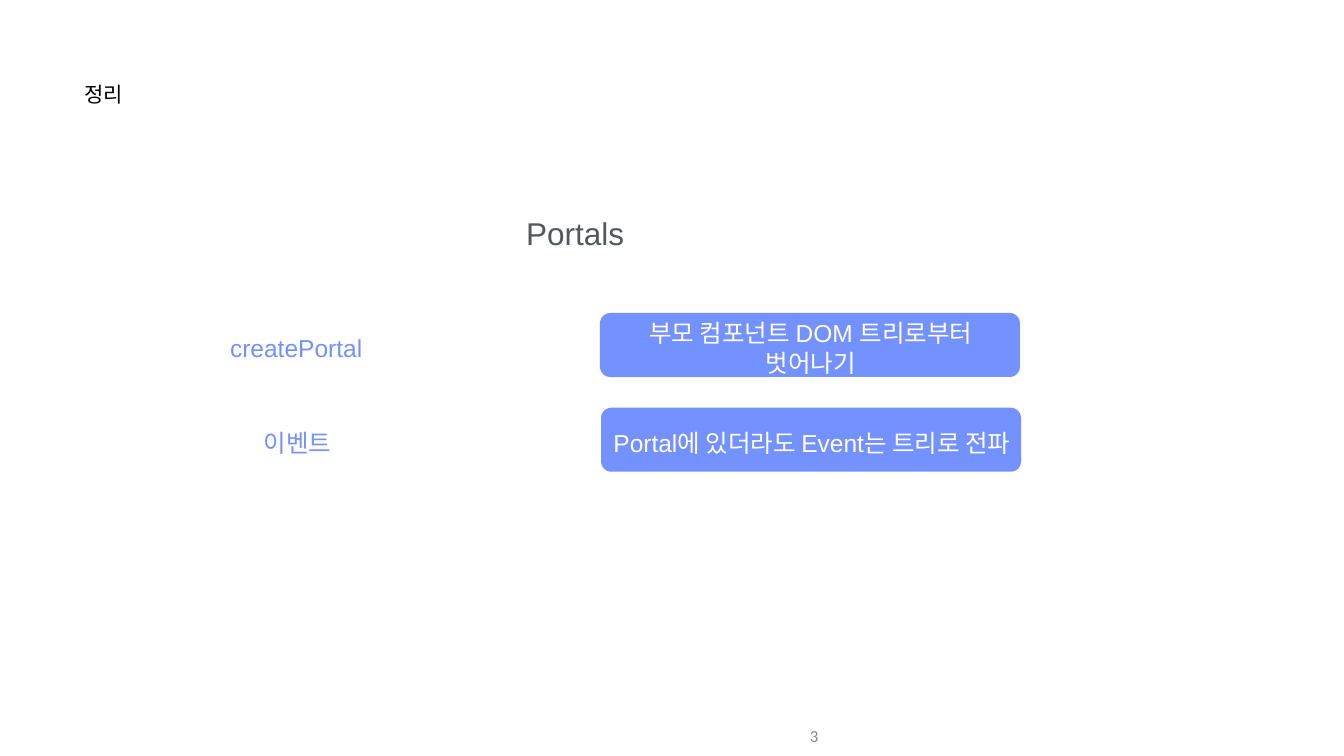
from dataclasses import dataclass

from pptx import Presentation
from pptx.dml.color import RGBColor
from pptx.enum.shapes import MSO_SHAPE
from pptx.enum.text import MSO_ANCHOR, PP_ALIGN
from pptx.util import Inches, Pt

WIDE, HIGH = 26.66, 15
COL, ROW = WIDE / 100, HIGH / 100  # grid of 100 columns and 100 rows
HUES = {"ink": "000000", "head": "53585F", "blue": "7391FF",
        "white": "FFFFFF", "page": "888888"}
TIGHT, ROOMY = (0.01, 0.01), (0.1, 0.05)


@dataclass
class Area:
    col: float
    row: float
    cols: float
    rows: float

    def box(self) -> tuple:
        return (Inches(self.col * COL), Inches(self.row * ROW),
                Inches(self.cols * COL), Inches(self.rows * ROW))


@dataclass
class Label:
    text: str
    area: Area
    size: int
    hue: str
    align: PP_ALIGN = PP_ALIGN.CENTER
    anchor: MSO_ANCHOR = MSO_ANCHOR.MIDDLE
    pad: tuple = TIGHT
    font: str = "Arial"


@dataclass
class Pair:
    term: str
    note: str


def rgb(hue: str) -> RGBColor:
    return RGBColor.from_string(HUES[hue])


def write(slide, label: Label) -> None:
    frame = slide.shapes.add_textbox(*label.area.box()).text_frame
    side, edge = (Inches(pad) for pad in label.pad)
    form = {"word_wrap": True, "vertical_anchor": label.anchor,
            "margin_left": side, "margin_right": side,
            "margin_top": edge, "margin_bottom": edge}
    for name, value in form.items():
        setattr(frame, name, value)
    para = frame.paragraphs[0]
    para.alignment = label.align
    run = para.add_run()
    run.text = label.text
    for name, value in {"name": label.font, "size": Pt(label.size)}.items():
        setattr(run.font, name, value)
    run.font.color.rgb = rgb(label.hue)


def panel(slide, area: Area) -> None:
    shape = slide.shapes.add_shape(MSO_SHAPE.ROUNDED_RECTANGLE, *area.box())
    shape.adjustments[0] = 0.16
    shape.shadow.inherit = False
    shape.fill.solid()
    shape.fill.fore_color.rgb = rgb("blue")
    shape.line.fill.background()


def draw(slide, pair: Pair, index: int) -> None:
    top, shift = 41.4 + 12.53 * index, 0.08 * index
    line = top + 2.53
    panel(slide, Area(44.64 + shift, top, 31.25, 8.47))
    write(slide, Label(pair.term, Area(10.32 + shift, line, 23.44, 4.13),
                       35, "blue"))
    write(slide, Label(pair.note, Area(44.71 + shift, line, 31.25, 4.13),
                       35, "white"))


LABELS = [
    Label("정리", Area(6.26, 10.67, 18.23, 7.87), 30, "ink",
          PP_ALIGN.LEFT, MSO_ANCHOR.TOP),
    Label("Portals", Area(9.9, 28.27, 65.79, 5.27), 45, "head",
          anchor=MSO_ANCHOR.TOP),
    Label("3", Area(38.75, 94.73, 22.51, 5.27), 24, "page",
          PP_ALIGN.RIGHT, pad=ROOMY, font="Calibri"),
]
PAIRS = [
    Pair("createPortal", "부모 컴포넌트 DOM 트리로부터 벗어나기"),
    Pair("이벤트", "Portal에 있더라도 Event는 트리로 전파"),
]


def main() -> None:
    deck = Presentation()
    deck.slide_width, deck.slide_height = Inches(WIDE), Inches(HIGH)
    slide = deck.slides.add_slide(deck.slide_layouts[6])
    # Title, heading and page number
    for label in LABELS:
        write(slide, label)
    # Terms with their notes
    for index, pair in enumerate(PAIRS):
        draw(slide, pair, index)
    deck.save("out.pptx")


if __name__ == "__main__":
    main()
